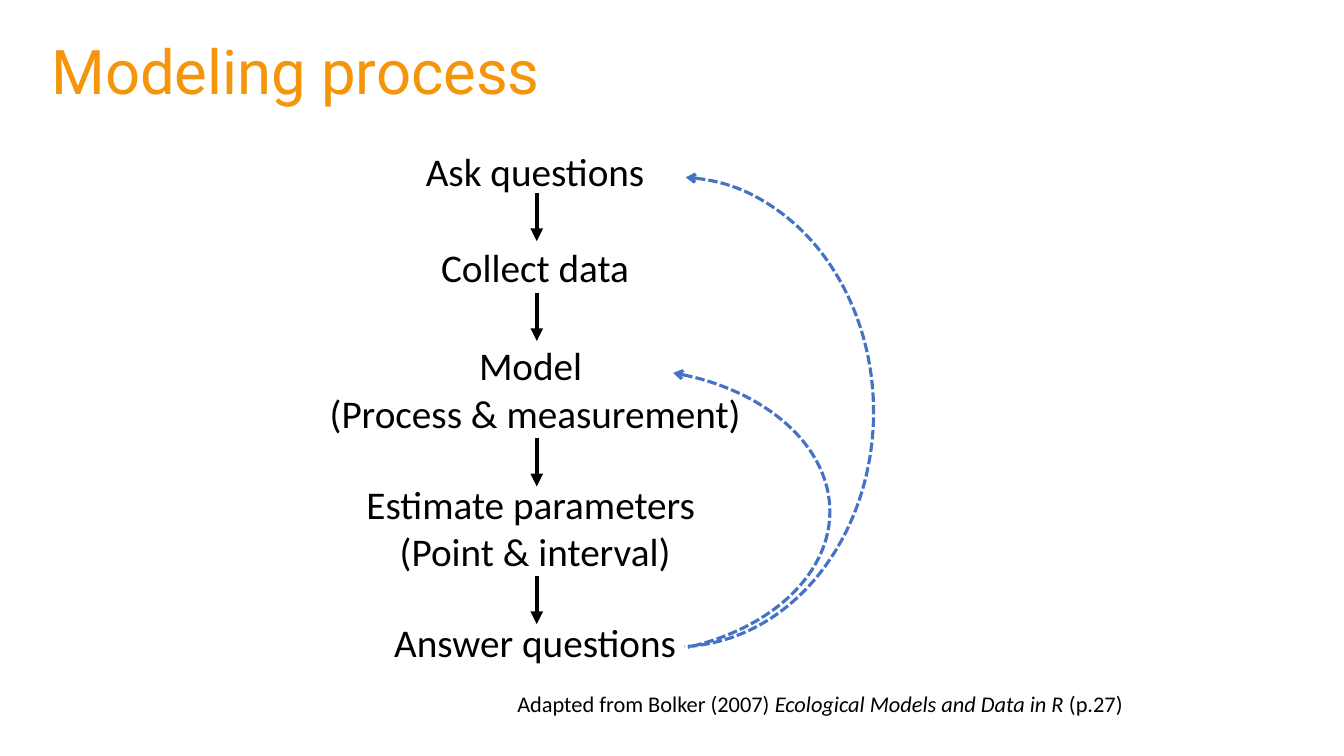
import pptx
import pptx.util
import pptx.dml.color
import pptx.enum.dml
import pptx.enum.shapes
import pptx.enum.text
import pptx.oxml.ns
from lxml import etree

COLORS = {"title": "F4950A", "ink": "000000", "loop": "4472C4"}
COLUMNS, ROWS = 16, 9

presentation = pptx.Presentation()
presentation.slide_width = pptx.util.Inches(13.33)
presentation.slide_height = pptx.util.Inches(7.5)
column = presentation.slide_width / COLUMNS
row = presentation.slide_height / ROWS
slide = presentation.slides.add_slide(presentation.slide_layouts[5])


def cells(left, top, width, height):
    """Turn a box in grid columns and rows into slide lengths."""
    return [round(left * column), round(top * row),
            round(width * column), round(height * row)]


def add_run(paragraph, text, size, color="ink", font="Calibri"):
    run = paragraph.add_run()
    run.text = text
    run.font.size = pptx.util.Pt(size)
    run.font.name = font
    run.font.color.rgb = pptx.dml.color.RGBColor.from_string(COLORS[color])
    return run


# Title
title = slide.shapes.title
title.left, title.top, title.width, title.height = cells(0.49, 0.11, 13.34, 1.55)
title.text_frame.vertical_anchor = pptx.enum.text.MSO_ANCHOR.MIDDLE
paragraph = title.text_frame.paragraphs[0]
paragraph.alignment = pptx.enum.text.PP_ALIGN.LEFT
paragraph.line_spacing = 0.9
add_run(paragraph, "Modeling process", 44, "title", "Roboto")

# Steps, all centred on one axis: lines, top, width
axis = 6.37
steps = [
    (["Ask questions"], 1.7, 2.88),
    (["Collect data"], 2.84, 2.5),
    (["Model ", "(Process & measurement)"], 4.01, 5.18),
    (["Estimate parameters ", "(Point & interval)"], 5.66, 4.31),
    (["Answer questions"], 7.3, 3.64),
]
for lines, top, width in steps:
    height = 0.11 + 0.57 * len(lines)
    step = slide.shapes.add_textbox(*cells(axis - width / 2, top, width, height))
    step.text_frame.word_wrap = True
    step.text_frame.auto_size = pptx.enum.text.MSO_AUTO_SIZE.SHAPE_TO_FIT_TEXT
    for number, line in enumerate(lines):
        paragraph = step.text_frame.paragraphs[0] if number == 0 else step.text_frame.add_paragraph()
        paragraph.alignment = pptx.enum.text.PP_ALIGN.CENTER
        add_run(paragraph, line, 28)

# Arrows from each step to the next
arrow_length = 0.57
for top in (2.3, 3.49, 5.22, 6.86):
    x, y, _, length = cells(6.39, top, 0, arrow_length)
    arrow = slide.shapes.add_connector(
        pptx.enum.shapes.MSO_CONNECTOR.STRAIGHT, x, y, x, y + length)
    arrow.line.width = pptx.util.Pt(3)
    arrow.line.color.rgb = pptx.dml.color.RGBColor.from_string(COLORS["ink"])
    properties = arrow.element.spPr
    outline = properties.find(pptx.oxml.ns.qn("a:ln"))
    etree.SubElement(outline, pptx.oxml.ns.qn("a:tailEnd"), type="triangle")
    etree.SubElement(properties, pptx.oxml.ns.qn("a:effectLst"))

# Source line
source = slide.shapes.add_textbox(*cells(6.04, 8.16, 7.69, 0.44))
source.text_frame.word_wrap = True
source.text_frame.auto_size = pptx.enum.text.MSO_AUTO_SIZE.SHAPE_TO_FIT_TEXT
paragraph = source.text_frame.paragraphs[0]
add_run(paragraph, "Adapted from Bolker (2007) ", 16)
add_run(paragraph, "Ecological Models and Data in R", 16).font.italic = True
add_run(paragraph, " (p.27)", 16)

# Dashed loops back to earlier steps: box, start and end angles
loops = [
    ((5.72, 2.11, 4.68, 5.59), 163.28, 52.89),
    ((4.97, 4.39, 4.91, 3.4), 173.79, 38.8),
]
for box, start, end in loops:
    loop = slide.shapes.add_shape(pptx.enum.shapes.MSO_SHAPE.ARC, *cells(*box))
    loop.adjustments[0] = start
    loop.adjustments[1] = end
    loop.shadow.inherit = False
    loop.fill.background()
    loop.line.width = pptx.util.Pt(2.25)
    loop.line.color.rgb = pptx.dml.color.RGBColor.from_string(COLORS["loop"])
    loop.line.dash_style = pptx.enum.dml.MSO_LINE.SQUARE_DOT
    outline = loop.element.spPr.find(pptx.oxml.ns.qn("a:ln"))
    etree.SubElement(outline, pptx.oxml.ns.qn("a:headEnd"), type="arrow")

presentation.save("out.pptx")
